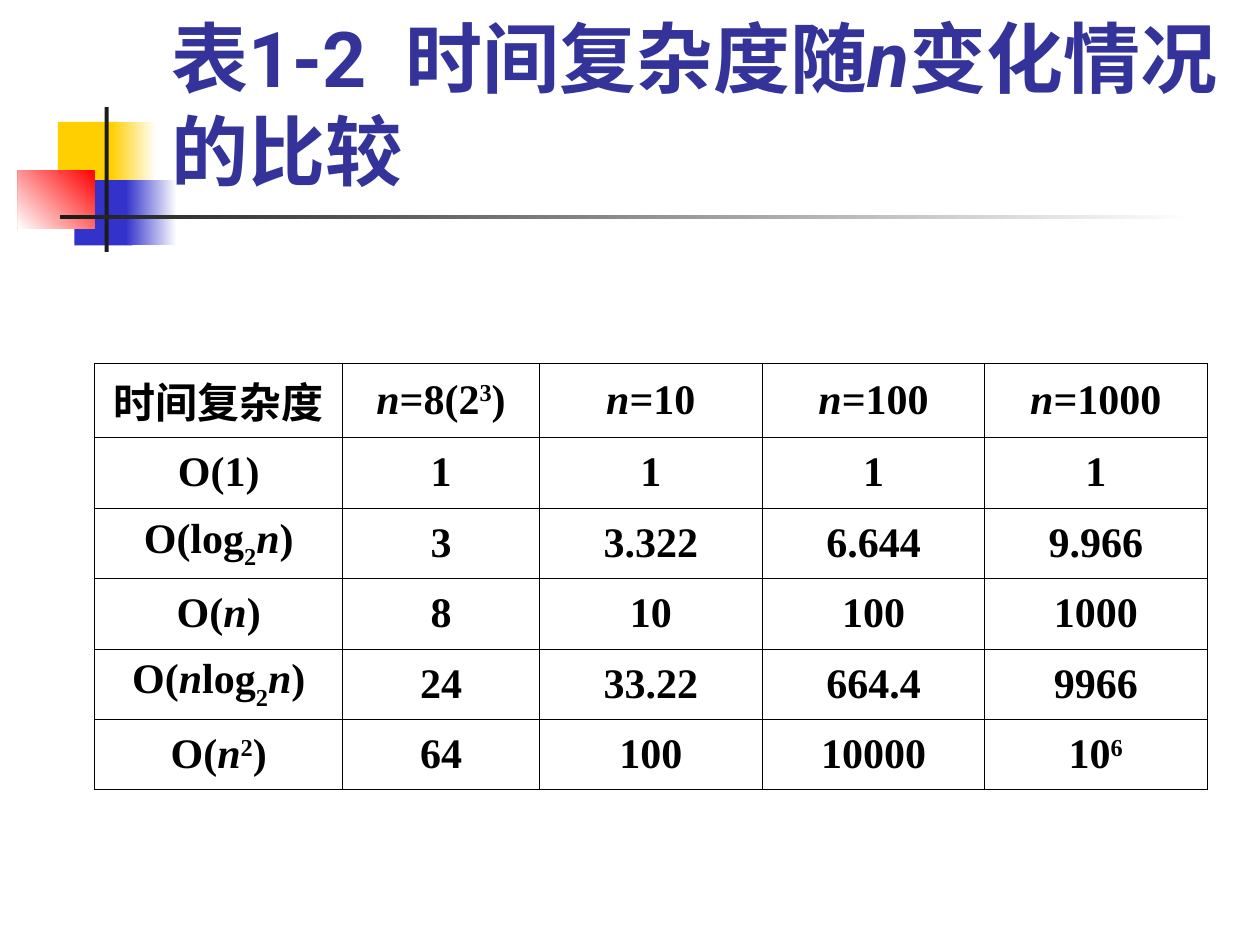
from pptx import Presentation
from pptx.dml.color import RGBColor
from pptx.enum import shapes, text
from pptx.oxml import parse_xml
from pptx.oxml.ns import nsdecls
from pptx.util import Cm, Pt

COLORS = {
    "white": "FFFFFF", "yellow": "FFCF01", "blue": "3333CC", "red": "FF0000",
    "dark": "1C1C1C", "title": "333399", "black": "000000",
}


def rgb(name):
    return RGBColor.from_string(COLORS[name])


def write(p, content, size, font, color):
    """Write runs parted by "|"; a lone n is italic, ^ raises and _ lowers a run."""
    for part in content.split("|"):
        r = p.add_run()
        r.text = part.lstrip("^_")
        f = r.font
        f.size, f.name, f.bold, f.italic = Pt(size), font, True, part == "n"
        f.color.rgb = rgb(color)
        if part[0] in "^_":
            f._element.set("baseline", "30000" if part[0] == "^" else "-30000")


prs = Presentation()
prs.slide_width, prs.slide_height = Cm(25.4), Cm(19.05)
s = prs.slides.add_slide(prs.slide_layouts[5])

# Corner ornament: left, top, width, height, colours, counter-clockwise angle
ornament = [
    (1.17, 2.46, 1.22, 1.32, ["yellow"], 0),
    (2.24, 2.46, 0.91, 1.32, ["white", "yellow"], 180),
    (1.5, 3.63, 1.17, 1.32, ["blue"], 0),
    (2.54, 3.63, 1.02, 1.32, ["white", "blue"], 180),
    (0.36, 3.43, 1.55, 1.17, ["red", "white"], 225),
    (2.11, 2.16, 0.08, 2.92, ["dark"], 0),
    (1.22, 4.34, 22.86, 0.08, ["white", "dark"], 180),
]
for *box, colors, angle in ornament:
    sp = s.shapes.add_shape(shapes.MSO_SHAPE.RECTANGLE, *map(Cm, box))
    sp.shadow.inherit = False
    sp.line.fill.background()
    if len(colors) == 1:
        sp.fill.solid()
        sp.fill.fore_color.rgb = rgb(colors[0])
    else:
        sp.fill.gradient()
        sp.fill.gradient_angle = angle
        for stop, color in zip(sp.fill.gradient_stops, colors):
            stop.color.rgb = rgb(color)

# Title, in front of the ornament
title = s.shapes.title
s.shapes._spTree.append(title._element)
title.left, title.top, title.width, title.height = map(Cm, (3.2, 1.73, 21.64, 2.34))
tf = title.text_frame
tf.word_wrap = True
tf.auto_size = text.MSO_AUTO_SIZE.NONE
tf.vertical_anchor = text.MSO_ANCHOR.BOTTOM
p = tf.paragraphs[0]
p.alignment = text.PP_ALIGN.LEFT
write(p, "表1-2  时间复杂度随|n|变化情况的比较", size=44, font="Roboto", color="title")

# Growth of each complexity
rows = [
    ["时间复杂度", "n|=8(2|^3|)", "n|=10", "n|=100", "n|=1000"],
    ["O(1)", "1", "1", "1", "1"],
    ["O(log|_2|n|)", "3", "3.322", "6.644", "9.966"],
    ["O(|n|)", "8", "10", "100", "1000"],
    ["O(|n|log|_2|n|)", "24", "33.22", "664.4", "9966"],
    ["O(|n|^2|)", "64", "100", "10000", "10|^6"],
]
widths = [5, 3.96, 4.5, 4.48, 4.48]
heights = [1.5] + [1.42] * 5
table = s.shapes.add_table(len(rows), len(widths), Cm(1.91), Cm(7.32),
                           Cm(sum(widths)), Cm(sum(heights))).table
table.first_row = table.horz_banding = False
for column, width in zip(table.columns, widths):
    column.width = Cm(width)
for row, height, contents in zip(table.rows, heights, rows):
    row.height = Cm(height)
    for cell, content in zip(row.cells, contents):
        cell.vertical_anchor = text.MSO_ANCHOR.MIDDLE
        p = cell.text_frame.paragraphs[0]
        p.alignment = text.PP_ALIGN.CENTER
        p.space_before = Pt(6)
        write(p, content, size=24, font="Times New Roman", color="black")
        tc_pr = cell._tc.get_or_add_tcPr()
        for side in ("lnL", "lnR", "lnT", "lnB"):
            tc_pr.append(parse_xml(
                f'<a:{side} {nsdecls("a")} w="{Pt(0.45)}"><a:solidFill>'
                f'<a:srgbClr val="{COLORS["black"]}"/></a:solidFill></a:{side}>'))
        cell.fill.background()

prs.save("out.pptx")
